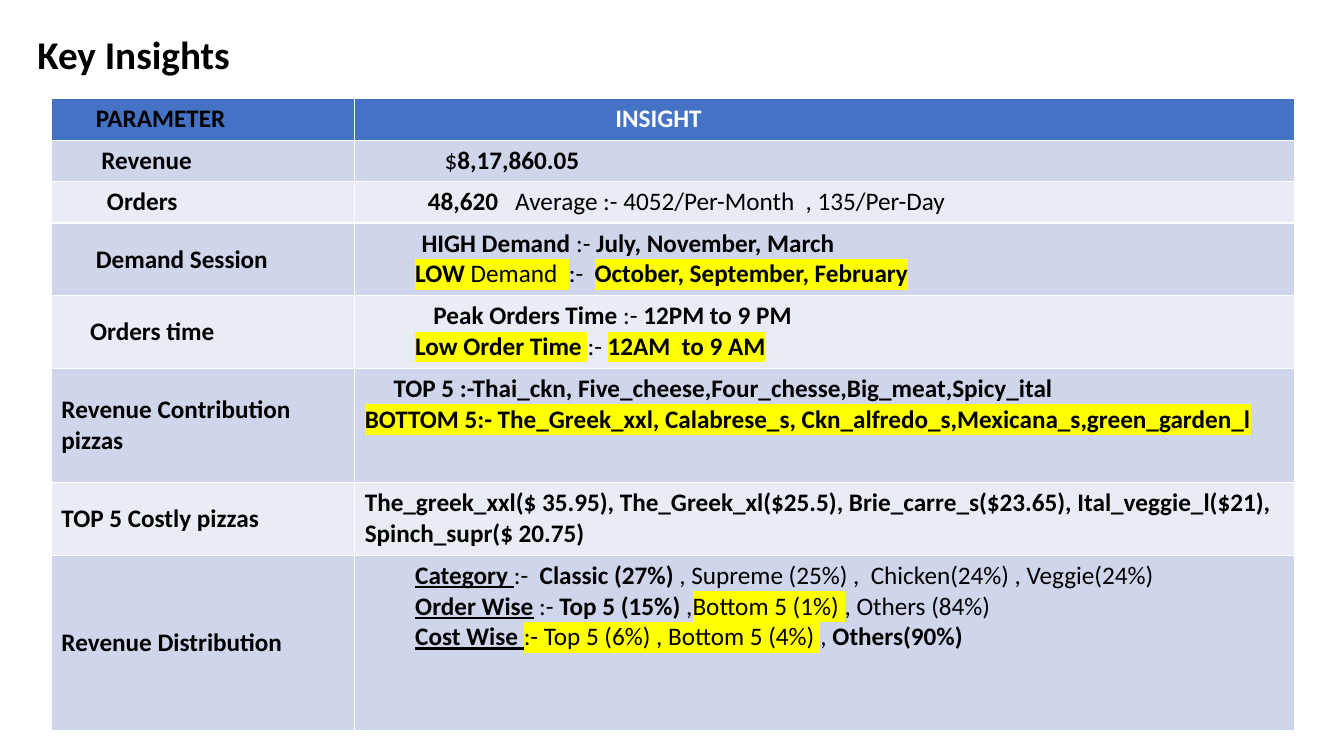
from lxml.etree import SubElement, Element
from pptx import Presentation
from pptx.dml.color import RGBColor
from pptx.enum.text import MSO_ANCHOR
from pptx.oxml.ns import qn
from pptx.util import Pt

TITLE = "Key Insights"
BLACK, WHITE, YELLOW = "000000", "FFFFFF", "FFFF00"
HEADER_FILL, BAND_FILLS = "4472C4", ("CFD5EA", "E9EBF5")

# Header cells: indent in points, text, colour
HEADER = [(24.5, "PARAMETER", BLACK), (179, "INSIGHT", WHITE)]

# Rows: height, label indent, label, insight lines.
# A line is its indent and its runs; a run is text and flags:
# b bold, u underlined, h highlighted. A leading tab reaches the indent
# so that its underline or highlight starts at the cell margin.
ROWS = [
    (29.6, 28.5, "Revenue", [(57, [("$", ""), ("8,17,860.05", "b")])]),
    (29.6, 32.5, "Orders", [
        (45, [("48,620 ", "b"), ("  Average :- 4052/Per-Month  , 135/Per-Day", "")]),
    ]),
    (52, 24.5, "Demand Session", [
        (40.5, [("HIGH Demand ", "b"), (":- ", ""), ("July, November, March", "b")]),
        (40.5, [("\t", "h"), ("LOW", "bh"), (" Demand  ", "h"), (":-  ", ""),
                ("October, September, February", "bh")]),
    ]),
    (52, 20.5, "Orders time", [
        (49, [("Peak Orders Time ", "b"), (":- ", ""), ("12PM to 9 PM", "b")]),
        (57, [("\tLow Order Time", "bh"), (" ", "h"), (":- ", ""),
              ("12AM  to 9 AM", "bh")]),
    ]),
    (81.5, 0, "Revenue Contribution pizzas", [
        (20.5, [("TOP 5 :-Thai_ckn, Five_cheese,Four_chesse,Big_meat,Spicy_ital", "b")]),
        (0, [("BOTTOM 5:- The_Greek_xxl, Calabrese_s, "
              "Ckn_alfredo_s,Mexicana_s,green_garden_l", "bh")]),
    ]),
    (52, 0, "TOP 5 Costly pizzas", [
        (0, [("The_greek_xxl($ 35.95), The_Greek_xl($25.5), Brie_carre_s($23.65), "
              "Ital_veggie_l($21), Spinch_supr($ 20.75)", "b")]),
    ]),
    (125, 0, "Revenue Distribution", [
        (8, [("\tCategory ", "bu"), (":-  ", ""), ("Classic (27%) ", "b"),
             (", Supreme (25%) ,  Chicken(24%) , Veggie(24%)", "")]),
        (12, [("\tOrder Wise", "bu"), (" :- ", ""), ("Top 5 (15%)", "b"), (" ,", ""),
              ("Bottom 5 (1%) ", "h"), (", Others (84%)", "")]),
        (16, [("\tCost Wise ", "bu"), (":- Top 5 (6%) , Bottom 5 (4%) ", "h"),
              (", ", ""), ("Others(90%)", "b")]),
    ]),
]
HEADER_HEIGHT = 29.6
COLUMN_WIDTHS = (216.7, 671)
TABLE_LEFT, TABLE_TOP = 36.7, 70.5


def color(value):
    return RGBColor.from_string(value)


def add_text(paragraph, text, size=18, fill=BLACK, bold=False, underline=False,
             highlight=None):
    run = paragraph.add_run()
    run.text = text
    font = run.font
    font.name, font.size, font.bold = "Calibri", Pt(size), bold
    font.underline = underline
    font.color.rgb = color(fill)
    if highlight:
        mark = Element(qn("a:highlight"))
        SubElement(mark, qn("a:srgbClr")).set("val", highlight)
        run.font._element.find(qn("a:solidFill")).addnext(mark)


def indent(paragraph, points, as_tab=False):
    """Shift a line by its left margin, or by a tab stop at the same place."""
    properties = paragraph._p.get_or_add_pPr()
    properties.set("marL", "0" if as_tab else str(int(Pt(points))))
    properties.set("indent", "0")
    if as_tab:
        stops = SubElement(properties, qn("a:tabLst"))
        SubElement(stops, qn("a:tab"), pos=str(int(Pt(points))), algn="l")


def fill_cell(cell, fill, lines, text_fill=BLACK, anchor=MSO_ANCHOR.TOP):
    cell.fill.solid()
    cell.fill.fore_color.rgb = color(fill)
    cell.vertical_anchor = anchor
    frame = cell.text_frame
    for number, (points, runs) in enumerate(lines):
        paragraph = frame.add_paragraph() if number else frame.paragraphs[0]
        indent(paragraph, points, as_tab=runs[0][0].startswith("\t"))
        for text, flags in runs:
            add_text(paragraph, text, fill=text_fill, bold="b" in flags,
                     underline="u" in flags,
                     highlight=YELLOW if "h" in flags else None)


def add_title(slide):
    title = slide.shapes.title
    title.left, title.top, title.width, title.height = Pt(19.5), Pt(21.5), Pt(878), Pt(44)
    frame = title.text_frame
    frame.vertical_anchor = MSO_ANCHOR.TOP
    paragraph = frame.paragraphs[0]
    paragraph.line_spacing = 0.9
    paragraph._p.get_or_add_pPr().set("algn", "l")
    add_text(paragraph, TITLE, size=28, bold=True)


def add_insight_table(slide):
    heights = [HEADER_HEIGHT] + [row[0] for row in ROWS]
    table = slide.shapes.add_table(
        len(heights), len(COLUMN_WIDTHS), Pt(TABLE_LEFT), Pt(TABLE_TOP),
        Pt(sum(COLUMN_WIDTHS)), Pt(sum(heights))).table
    for column, width in zip(table.columns, COLUMN_WIDTHS):
        column.width = Pt(width)
    for row, height in zip(table.rows, heights):
        row.height = Pt(height)

    for column, (points, text, text_fill) in enumerate(HEADER):
        fill_cell(table.cell(0, column), HEADER_FILL, [(points, [(text, "b")])], text_fill)
    for number, (_, points, label, lines) in enumerate(ROWS):
        band = BAND_FILLS[number % 2]
        fill_cell(table.cell(number + 1, 0), band, [(points, [(label, "b")])],
                  anchor=MSO_ANCHOR.MIDDLE)
        fill_cell(table.cell(number + 1, 1), band, lines)


def main():
    presentation = Presentation()
    presentation.slide_width, presentation.slide_height = Pt(960), Pt(540)
    slide = presentation.slides.add_slide(presentation.slide_layouts[5])
    add_title(slide)
    add_insight_table(slide)
    presentation.save("out.pptx")


if __name__ == "__main__":
    main()
